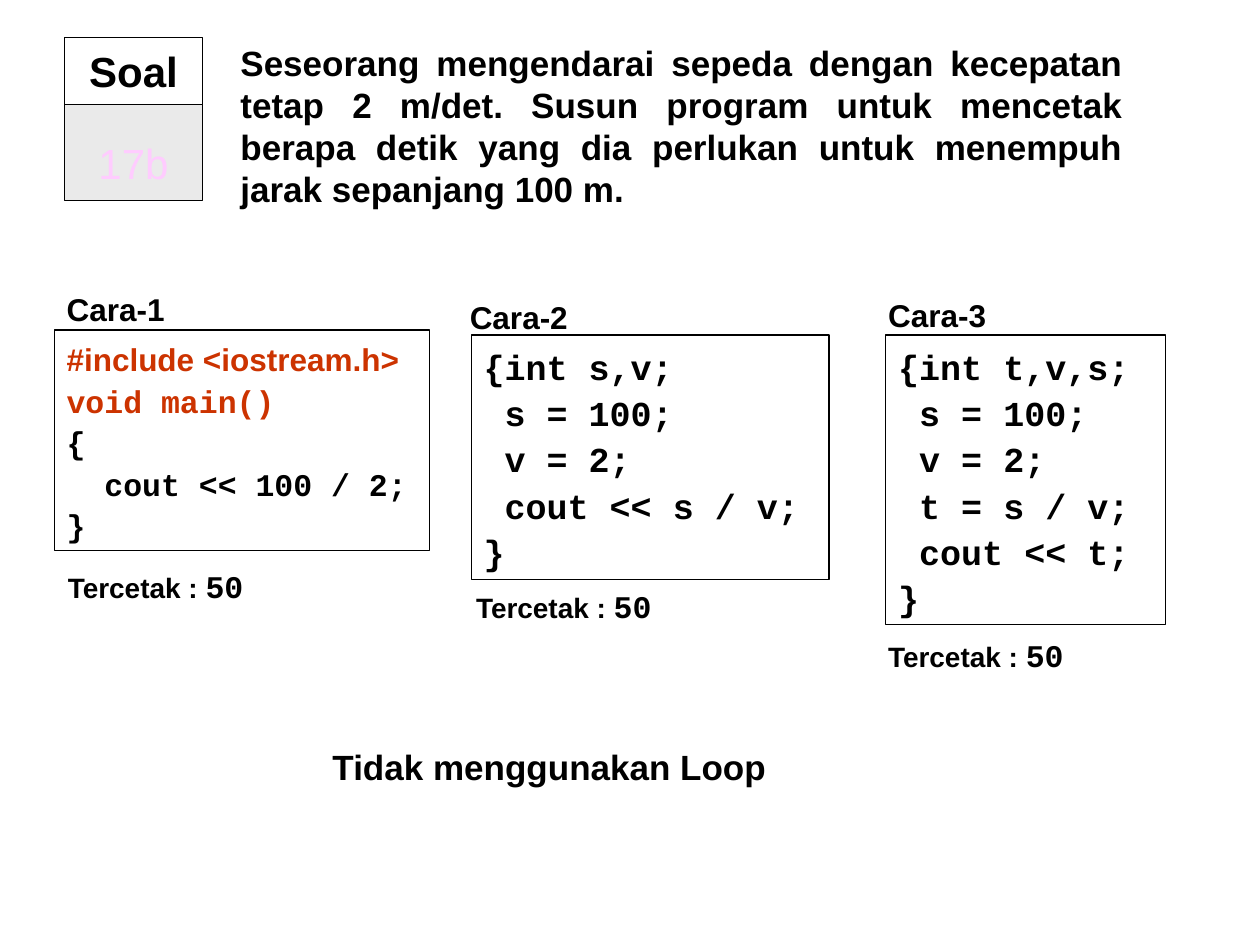
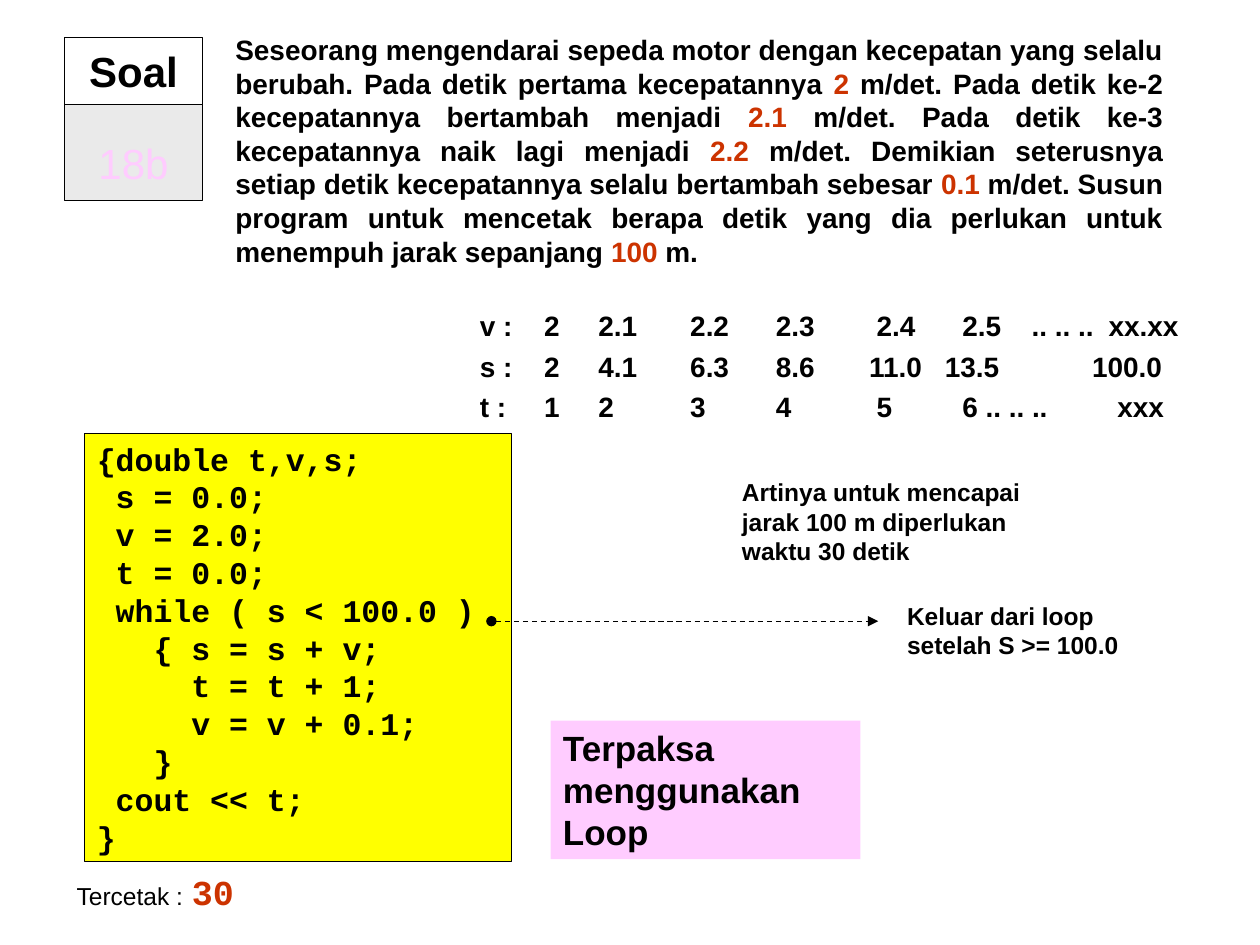
import pptx
import pptx.util
import pptx.dml.color
import pptx.enum.dml
import pptx.enum.shapes
import pptx.enum.text
import pptx.oxml
import pptx.oxml.ns

Inches = pptx.util.Inches
Pt = pptx.util.Pt
Align = pptx.enum.text.PP_ALIGN
Anchor = pptx.enum.text.MSO_ANCHOR

BLACK, RED, GREY, PINK, YELLOW = "000000", "CC3300", "EAEAEA", "FFCCFF", "FFFF00"
BODY, CODE = "Arial", "Courier New"
LINE_WIDTH = 0.75


def color(hex_string):
    return pptx.dml.color.RGBColor.from_string(hex_string)


def write(shape, paragraphs, size, font=BODY, fill=BLACK, bold=True,
          align=Align.LEFT, spacing=None, wrap=True, anchor=Anchor.TOP):
    """Fill a shape; a paragraph is a string or a list of (text, run overrides)."""
    frame = shape.text_frame
    frame.word_wrap = wrap
    frame.vertical_anchor = anchor
    for index, content in enumerate(paragraphs):
        paragraph = frame.add_paragraph() if index else frame.paragraphs[0]
        paragraph.alignment = align
        if spacing:
            paragraph.line_spacing = spacing
        runs = [(content, {})] if isinstance(content, str) else content
        for text, overrides in runs:
            style = {"size": size, "font": font, "fill": fill, "bold": bold} | overrides
            run = paragraph.add_run()
            run.text = text
            run.font.size = Pt(style["size"])
            run.font.name = style["font"]
            run.font.bold = style["bold"]
            run.font.color.rgb = color(style["fill"])


def add_text(slide, box, paragraphs, size, **style):
    shape = slide.shapes.add_textbox(*map(Inches, box))
    write(shape, paragraphs, size, **style)
    if not style.get("wrap", True):
        shape.text_frame.auto_size = pptx.enum.text.MSO_AUTO_SIZE.SHAPE_TO_FIT_TEXT
    return shape


def add_box(shapes, box, fill=None, outline=True):
    shape = shapes.add_shape(pptx.enum.shapes.MSO_SHAPE.RECTANGLE, *map(Inches, box))
    shape.shadow.inherit = False
    if fill:
        shape.fill.solid()
        shape.fill.fore_color.rgb = color(fill)
    else:
        shape.fill.background()
    if outline:
        shape.line.color.rgb = color(BLACK)
        shape.line.width = Pt(LINE_WIDTH)
    else:
        shape.line.fill.background()
    return shape


def add_problem(slide, number, statement, box, size):
    """Numbered badge at the top left with the problem statement beside it."""
    add_text(slide, box, [statement], size, align=Align.JUSTIFY)
    left, top, width, label_height, number_height = 0.51, 0.3, 1.1, 0.53, 0.76
    badge = slide.shapes.add_group_shape()
    label = add_box(badge.shapes, (left, top, width, label_height))
    write(label, ["Soal"], 24, align=Align.CENTER, wrap=False, anchor=Anchor.MIDDLE)
    plate = add_box(badge.shapes, (left, top + label_height, width, number_height), GREY)
    plate.text_frame.margin_bottom = Inches(0.1)
    write(plate, [number], 24, fill=PINK, bold=False, align=Align.CENTER,
          anchor=Anchor.BOTTOM)


def add_solution(slide, name, box, code, size, name_at, output_at):
    """Outlined code with its name above and its output below."""
    write(add_box(slide.shapes, box), code, size, font=CODE, spacing=1.1)
    add_text(slide, (*name_at, 0.98, 0.4), [name], 18, wrap=False)
    output = [("Tercetak : ", {}), ("50", {"size": 18, "font": CODE})]
    add_text(slide, (*output_at, 1.61, 0.4), [output], 16, wrap=False)


def add_progress(slide, box):
    """Speed, distance and time rows, aligned on tab stops."""
    stops = [0.51, 0.94, 1.67, 2.35]
    rows = [
        (["v :", "2", "2.1", "2.2", "2.3", "2.4", "2.5", ".. .. ..", "xx.xx"],
         stops + [3.15, 3.83, 4.38, 4.99]),
        (["s :", "2", "4.1", "6.3", "8.6", "11.0", "13.5", "100.0"],
         stops + [3.09, 3.69, 4.86]),
        (["t :", "1", "2", "3", "4", "5", "6 .. .. ..", "xxx"],
         stops + [3.15, 3.83, 5.06]),
    ]
    shape = add_text(slide, box, ["\t".join(cells) for cells, _ in rows], 16, spacing=1.2)
    for paragraph, (_, positions) in zip(shape.text_frame.paragraphs, rows):
        properties = paragraph._p.get_or_add_pPr()
        tab_list = pptx.oxml.parse_xml(
            f'<a:tabLst {pptx.oxml.ns.nsdecls("a")}>'
            + "".join(f'<a:tab pos="{Inches(position)}" algn="l"/>' for position in positions)
            + "</a:tabLst>")
        properties.append(tab_list)


def add_dashed_arrow(slide, start, end):
    arrow = slide.shapes.add_connector(
        pptx.enum.shapes.MSO_CONNECTOR.STRAIGHT, *map(Inches, start + end))
    arrow.line.color.rgb = color(BLACK)
    arrow.line.width = Pt(LINE_WIDTH)
    arrow.line.dash_style = pptx.enum.dml.MSO_LINE.DASH
    namespace = pptx.oxml.ns.nsdecls("a")
    for tag, kind in (("headEnd", "oval"), ("tailEnd", "triangle")):
        arrow.line._get_or_add_ln().append(
            pptx.oxml.parse_xml(f'<a:{tag} {namespace} type="{kind}"/>'))
    arrow._element.spPr.append(pptx.oxml.parse_xml(f"<a:effectLst {namespace}/>"))


def build_constant_speed(slide):
    add_problem(
        slide, "17b",
        "Seseorang mengendarai sepeda dengan kecepatan tetap 2 m/det. Susun program "
        "untuk mencetak berapa detik yang dia perlukan untuk menempuh jarak sepanjang 100 m.",
        (1.81, 0.28, 7.2, 1.44), 20)
    add_solution(
        slide, "Cara-1", (0.43, 2.62, 2.98, 1.75),
        [[("#include <iostream.h>", {"font": BODY, "fill": RED})],
         [("void main()", {"fill": RED})],
         "{", "  cout << 100 / 2;", "}"],
        18, (0.43, 2.25), (0.44, 4.45))
    add_solution(
        slide, "Cara-2", (3.74, 2.66, 2.84, 1.94),
        ["{int s,v;", " s = 100;", " v = 2;", " cout << s / v;", "}"],
        20, (3.63, 2.32), (3.68, 4.61))
    add_solution(
        slide, "Cara-3", (7.03, 2.66, 2.22, 2.3),
        ["{int t,v,s;", " s = 100;", " v = 2;", " t = s / v;", " cout << t;", "}"],
        20, (6.95, 2.3), (6.95, 5))
    add_text(slide, (2.54, 5.87, 3.65, 0.44), ["Tidak menggunakan Loop"], 20, wrap=False)


def build_rising_speed(slide):
    red = {"fill": RED}
    add_problem(
        slide, "18b",
        [("Seseorang mengendarai sepeda motor dengan kecepatan yang selalu berubah. "
          "Pada detik pertama kecepatannya ", {}),
         ("2 ", red),
         ("m/det. Pada detik ke-2 kecepatannya bertambah menjadi ", {}),
         ("2.1", red),
         (" m/det. Pada detik ke-3 kecepatannya naik lagi menjadi ", {}),
         ("2.2", red),
         (" m/det. Demikian seterusnya setiap detik kecepatannya selalu bertambah "
          "sebesar ", {}),
         ("0.1", red),
         (" m/det. Susun program untuk mencetak berapa detik yang dia perlukan untuk "
          "menempuh jarak sepanjang ", {}),
         ("100", red),
         (" m.", {})],
        (1.77, 0.21, 7.56, 1.97), 16)
    add_progress(slide, (3.71, 2.35, 5.9, 1.06))
    program = add_box(slide.shapes, (0.67, 3.44, 3.39, 3.4), YELLOW)
    write(program,
          ["{double t,v,s;", " s = 0.0;", " v = 2.0;", " t = 0.0;",
           " while ( s < 100.0 )", "   { s = s + v;", "     t = t + 1;",
           "     v = v + 0.1;", "   }", " cout << t;", "}"],
          18, font=CODE)
    conclusion = add_box(slide.shapes, (4.37, 5.72, 2.46, 1.1), PINK, outline=False)
    write(conclusion, ["Terpaksa menggunakan Loop"], 20)
    output = [("Tercetak :", {}), (" ", {"size": 18}),
              ("30", {"size": 20, "font": CODE, "fill": RED, "bold": True})]
    add_text(slide, (0.51, 6.86, 1.67, 0.44), [output], 14, bold=False)
    add_text(slide, (5.79, 3.74, 2.44, 0.8),
             ["Artinya untuk mencapai jarak 100 m diperlukan waktu 30 detik"], 14)
    add_dashed_arrow(slide, (3.9, 4.93), (6.97, 4.93))
    add_text(slide, (7.1, 4.72, 2.31, 0.57), ["Keluar dari loop setelah S >= 100.0"], 14)


def main():
    presentation = pptx.Presentation()
    presentation.slide_width = Inches(10)
    presentation.slide_height = Inches(7.5)
    for build in (build_constant_speed, build_rising_speed):
        build(presentation.slides.add_slide(presentation.slide_layouts[6]))
    presentation.save("out.pptx")


if __name__ == "__main__":
    main()
